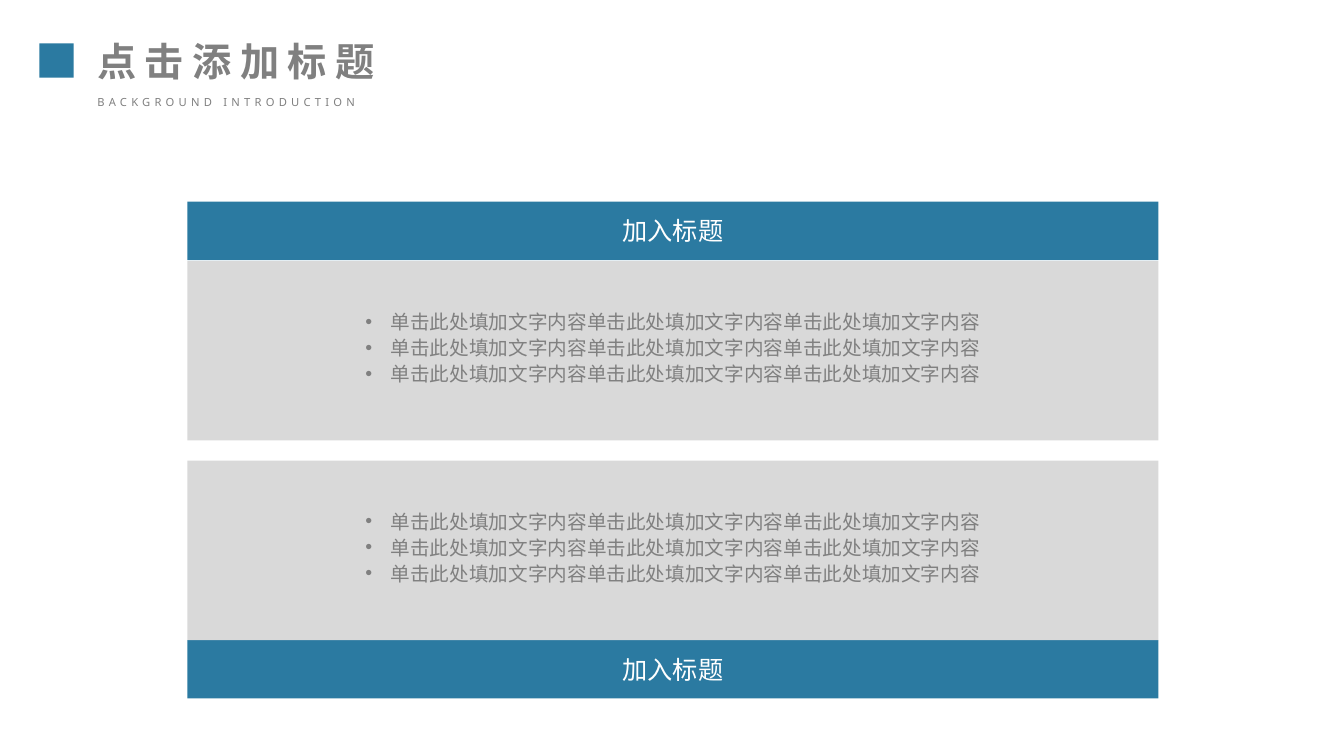
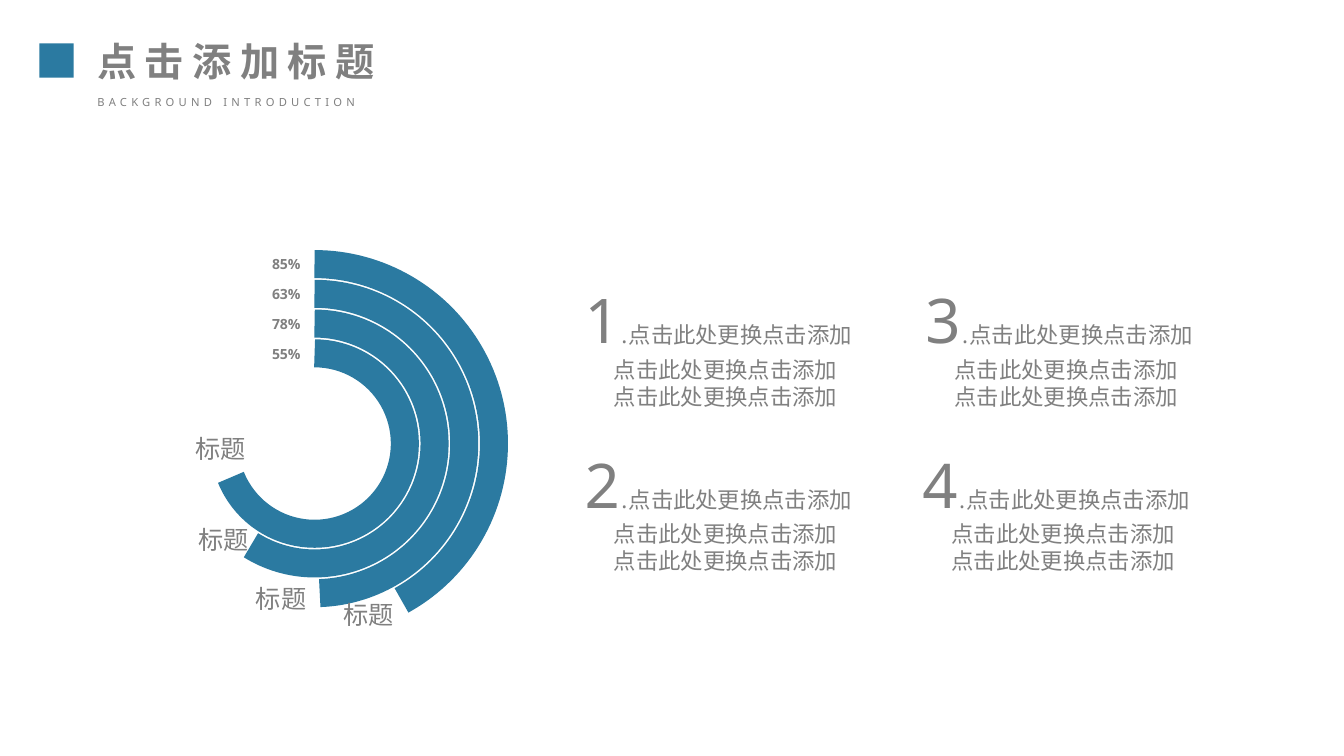
from lxml import etree
from pptx import Presentation
from pptx.dml.color import RGBColor
from pptx.enum.shapes import MSO_SHAPE
from pptx.enum.text import MSO_ANCHOR, PP_ALIGN
from pptx.oxml.ns import qn
from pptx.util import Pt

RECTANGLE, ARC = MSO_SHAPE.RECTANGLE, MSO_SHAPE.ARC
LEFT, CENTER = PP_ALIGN.LEFT, PP_ALIGN.CENTER
TOP, MIDDLE = MSO_ANCHOR.TOP, MSO_ANCHOR.MIDDLE
EMU_PER_PX = 9144
DEGREE = 0.6
FONT = "Noto Sans"
COLORS = {"blue": "2B7AA1", "panel": "D9D9D9", "text": "808080", "white": "FFFFFF"}

BODY_LINE = "单击此处填加文字内容" * 3
ITEM_LINE = "点击此处更换点击添加"


def px(value):
    return round(value * EMU_PER_PX)


def color(name):
    return RGBColor.from_string(COLORS[name])


class Deck:
    def __init__(self):
        self.deck = Presentation()
        self.deck.slide_width, self.deck.slide_height = px(1333), px(750)
        self.page = None

    def add_page(self):
        self.page = self.deck.slides.add_slide(self.deck.slide_layouts[6])
        self.rectangle(39, 43, 34, 34, "blue")
        self.text(69, 32, 330, 57, "点击添加标题", 28, bold=True, spacing=6, align=CENTER)
        self.text(66, 90, 317, 24, "BACKGROUND INTRODUCTION", 8, spacing=3, align=CENTER)

    def style(self, font, size, fill="text", bold=False, spacing=0):
        font.size, font.bold, font.name = Pt(size), bold, FONT
        font.color.rgb = color(fill)
        properties = font._rPr
        properties.set("spc", str(spacing * 100))
        etree.SubElement(properties, qn("a:ea")).set("typeface", FONT)

    def frame(self, left, top, width, height, wrap=True):
        box = self.page.shapes.add_textbox(px(left), px(top), px(width), px(height))
        box.text_frame.word_wrap = wrap
        box.text_frame.vertical_anchor = TOP
        return box.text_frame

    def text(self, left, top, width, height, words, size, bold=False, spacing=0,
             align=LEFT, wrap=True):
        para = self.frame(left, top, width, height, wrap).paragraphs[0]
        para.text, para.alignment = words, align
        self.style(para.font, size, bold=bold, spacing=spacing)

    def rectangle(self, left, top, width, height, fill):
        shape = self.page.shapes.add_shape(RECTANGLE, px(left), px(top), px(width), px(height))
        shape.shadow.inherit = False
        shape.fill.solid()
        shape.fill.fore_color.rgb = color(fill)
        shape.line.fill.background()
        shape.text_frame.word_wrap = True
        shape.text_frame.vertical_anchor = MIDDLE
        return shape.text_frame

    def banner(self, top, words):
        para = self.rectangle(186, top, 963, 58, "blue").paragraphs[0]
        para.text, para.alignment = words, CENTER
        self.style(para.font, 18, "white")

    def bullet_panel(self, top, lines):
        frame = self.rectangle(186, top, 963, 178, "panel")
        for index, line in enumerate(lines):
            para = frame.add_paragraph() if index else frame.paragraphs[0]
            para.text, para.alignment, para.line_spacing = line, CENTER, 0.7
            if index:
                para.space_before = Pt(6.8)
            properties = para._p.get_or_add_pPr()
            properties.set("marL", str(px(25)))
            properties.set("indent", str(-px(25)))
            etree.SubElement(properties, qn("a:buFont")).set("typeface", "Arial")
            etree.SubElement(properties, qn("a:buChar")).set("char", "•")
            self.style(para.font, 14)

    def ring(self, center_x, center_y, diameter, end_angle):
        left, top = center_x - diameter / 2, center_y - diameter / 2
        shape = self.page.shapes.add_shape(ARC, px(left), px(top), px(diameter), px(diameter))
        shape.shadow.inherit = False
        shape.adjustments[0] = 270 * DEGREE
        shape.adjustments[1] = end_angle * DEGREE
        shape.fill.background()
        shape.line.color.rgb = color("blue")
        shape.line.width = Pt(20)

    def numbered_item(self, left, top, number):
        frame = self.frame(left, top, 338, 170)
        heading = frame.paragraphs[0]
        for words, size, spacing in ((number, 44, 1), (".", 16, 1), (ITEM_LINE, 16, 0)):
            span = heading.add_run()
            span.text = words
            self.style(span.font, size, spacing=spacing)
        for _ in range(2):
            para = frame.add_paragraph()
            para.text = ITEM_LINE
            para._p.get_or_add_pPr().set("marL", str(px(29)))
            self.style(para.font, 16)


def main():
    deck = Deck()

    deck.add_page()
    for banner_top, panel_top in ((200, 259), (635, 457)):
        deck.banner(banner_top, "加入标题")
        deck.bullet_panel(panel_top, [BODY_LINE] * 3)

    deck.add_page()
    items = ((570, 275), (570, 438), (908, 275), (905, 438))
    for number, (left, top) in enumerate(items, 1):
        deck.numbered_item(left, top, str(number))
    rings = (
        ("85%", 61, 331, 590),
        ("63%", 88, 244, 574),
        ("78%", 122, 187, 515),
        ("55%", 158, 184, 425),
    )
    for index, (percent, end_angle, label_left, label_top) in enumerate(rings):
        deck.ring(312, 440, 356 - 59 * index, end_angle)
        deck.text(260, 249 + 29.6 * index, 50, 27, percent, 10, bold=True, wrap=False)
    for _, _, label_left, label_top in rings:
        deck.text(label_left, label_top, 71, 40, "标题", 18, wrap=False)

    deck.deck.save("out.pptx")


if __name__ == "__main__":
    main()
